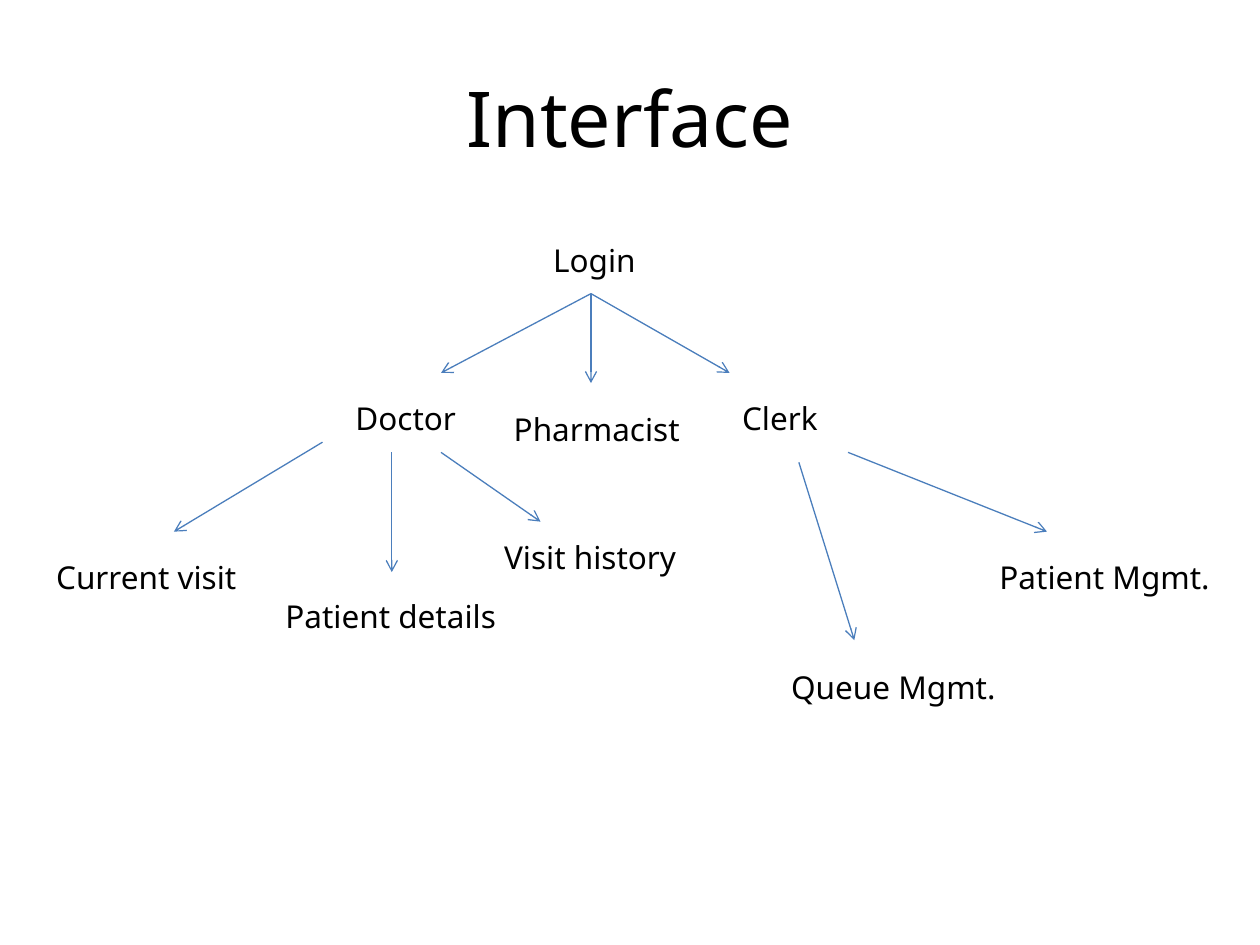
"""Build a slide showing the interface as a tree of screens per user role."""
from lxml import etree
from pptx import Presentation
from pptx.dml.color import RGBColor
from pptx.enum.shapes import MSO_CONNECTOR
from pptx.enum.text import MSO_ANCHOR, MSO_AUTO_SIZE, PP_ALIGN
from pptx.oxml.ns import qn
from pptx.util import Pt

STRAIGHT = MSO_CONNECTOR.STRAIGHT
MIDDLE, TOP = MSO_ANCHOR.MIDDLE, MSO_ANCHOR.TOP
CENTER, LEFT = PP_ALIGN.CENTER, PP_ALIGN.LEFT
GROW = MSO_AUTO_SIZE.SHAPE_TO_FIT_TEXT
BLACK = RGBColor(0x00, 0x00, 0x00)
BLUE = RGBColor(0x4B, 0x7E, 0xBC)
FONT = "Noto Sans"
LABEL_HEIGHT = 29

TITLE_BOX = (36, 21.6, 648, 90)
TREE_BOX = (25, 134, 676.5, 273)

LABELS = [
    ("Login", 284, 0, 181.5),
    ("Doctor", 171, 90.5, 74),
    ("Pharmacist", 261.5, 96.5, 111),
    ("Clerk", 392, 90.5, 60.5),
    ("Current visit", 0, 181.5, 123),
    ("Patient details", 131, 203.5, 139),
    ("Visit history", 256, 170, 119.5),
    ("Queue Mgmt.", 420, 244, 134),
    ("Patient Mgmt.", 539, 181.5, 137.5),
]

LOGIN_EXIT = (312.7, 33.8)
ARROWS = [
    (LOGIN_EXIT, (227, 79.1)),
    (LOGIN_EXIT, (312.7, 84.9)),
    (LOGIN_EXIT, (391.9, 79.1)),
    ((159.3, 118.7), (74.4, 169.8)),
    ((198.9, 124.5), (198.9, 192.9)),
    ((227, 124.5), (283.9, 164.1)),
    ((431.5, 130.2), (463.2, 231.8)),
    ((459.6, 124.5), (573.3, 169.8)),
]


def add_text(page, box, text, size, align=LEFT, anchor=TOP):
    """Add a one-line text box and return its text frame."""
    frame = page.shapes.add_textbox(*map(Pt, box)).text_frame
    frame.vertical_anchor = anchor
    frame.text = text
    para = frame.paragraphs[0]
    para.alignment = align
    span = para.runs[0]
    span.font.name = FONT
    span.font.size = Pt(size)
    span.font.color.rgb = BLACK
    return frame


def add_arrow(page, start, end):
    """Add a thin straight arrow without a shadow."""
    arrow = page.shapes.add_connector(STRAIGHT, *map(Pt, start + end))
    arrow.line.color.rgb = BLUE
    arrow.line.width = Pt(0.75)
    line = arrow.line._get_or_add_ln()
    etree.SubElement(line, qn("a:tailEnd")).set("type", "arrow")
    etree.SubElement(arrow._element.spPr, qn("a:effectLst"))


def add_title(page, box):
    """Add the centred slide title."""
    frame = add_text(page, box, "Interface", 44, CENTER, MIDDLE)
    frame.word_wrap = True


def add_tree(page, box):
    """Add the screen labels and the arrows between them inside the box."""
    left, top = box[:2]
    for text, x, y, width in LABELS:
        label_box = (left + x, top + y, width, LABEL_HEIGHT)
        frame = add_text(page, label_box, text, 18)
        frame.word_wrap = text == "Login"
        frame.auto_size = GROW
    for ends in ARROWS:
        add_arrow(page, *((left + x, top + y) for x, y in ends))


def main():
    """Build the deck and save it."""
    deck = Presentation()
    deck.slide_width, deck.slide_height = Pt(720), Pt(540)
    page = deck.slides.add_slide(deck.slide_layouts[6])
    add_title(page, TITLE_BOX)
    add_tree(page, TREE_BOX)
    deck.save("out.pptx")


main()
